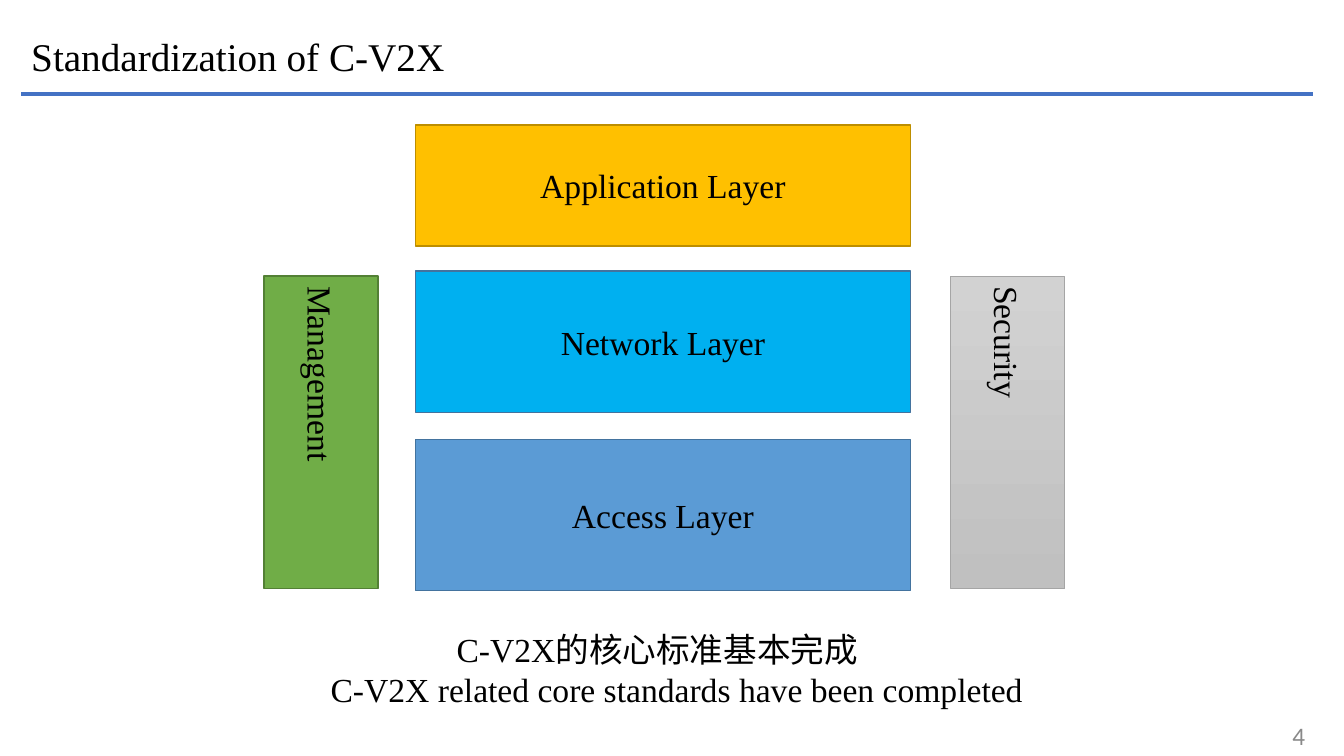
from pptx import Presentation
from pptx.dml.color import RGBColor
from pptx.enum.shapes import MSO_CONNECTOR, MSO_SHAPE
from pptx.enum.text import MSO_ANCHOR, MSO_AUTO_SIZE, PP_ALIGN
from pptx.oxml.ns import qn
from pptx.util import Inches, Pt
from lxml.etree import SubElement

SERIF = "Times New Roman"
LAYERS = [
    ("Application Layer", 1.24, 1.2, "FFC000", "BD8E00"),
    ("Network Layer", 2.69, 1.4, "00B0F0", "43739E"),
    ("Access Layer", 4.36, 1.5, "5B9BD5", "43739E"),
]


def paint(color, code):
    color.rgb = RGBColor.from_string(code)


def style(para, size, name=SERIF, code="000000", align=PP_ALIGN.LEFT):
    para.alignment = align
    para.font.size = Pt(size)
    para.font.name = name
    paint(para.font.color, code)


def add_rule(slide):
    """Draw the blue line under the title."""
    rule = slide.shapes.add_connector(
        MSO_CONNECTOR.STRAIGHT,
        Inches(0.21), Inches(0.93), Inches(13.02), Inches(0.93))
    rule.line.width = Pt(3)
    paint(rule.line.color, "4472C4")
    SubElement(rule._element.spPr, qn("a:effectLst"))


def set_title(slide, text):
    title = slide.shapes.title
    title.left, title.top = Inches(0.21), Inches(0.27)
    title.width, title.height = Inches(4.34), Inches(0.57)
    frame = title.text_frame
    frame.text = text
    frame.word_wrap = False
    frame.auto_size = MSO_AUTO_SIZE.NONE
    frame.vertical_anchor = MSO_ANCHOR.MIDDLE
    style(frame.paragraphs[0], 28)


def add_block(slide, text, box, fills, edge, width=1):
    """Add a labelled rectangle; two fills make a downward gradient."""
    block = slide.shapes.add_shape(MSO_SHAPE.RECTANGLE, *map(Inches, box))
    block.shadow.inherit = False
    if len(fills) == 1:
        block.fill.solid()
        paint(block.fill.fore_color, fills[0])
    else:
        block.fill.gradient()
        block.fill.gradient_angle = 270
        for stop, code in zip(block.fill.gradient_stops, fills):
            paint(stop.color, code)
    paint(block.line.color, edge)
    block.line.width = Pt(width)
    frame = block.text_frame
    frame.text = text
    frame.vertical_anchor = MSO_ANCHOR.MIDDLE
    style(frame.paragraphs[0], 24, align=PP_ALIGN.CENTER)
    return block


def add_pillar(slide, text, left, fills, edge, width=1):
    """Add a tall block whose label reads downwards."""
    block = add_block(slide, text, (left, 2.74, 1.13, 3.1), fills, edge, width)
    block.text_frame._txBody.bodyPr.set("vert", "eaVert")


def add_text(slide, lines, box, **font):
    frame = slide.shapes.add_textbox(*map(Inches, box)).text_frame
    frame.word_wrap = True
    frame.text = "\n".join(lines)
    for para in frame.paragraphs:
        style(para, **font)
    return frame


def main():
    deck = Presentation()
    deck.slide_width, deck.slide_height = Inches(13.33), Inches(7.5)
    slide = deck.slides.add_slide(deck.slide_layouts[5])

    add_rule(slide)
    set_title(slide, "Standardization of C-V2X")
    add_text(slide, ["4"], (12.72, 7.1, 0.63, 0.4),
             size=18, name="Calibri", code="898989")

    for text, top, height, fill, edge in LAYERS:
        add_block(slide, text, (4.12, top, 4.91, height), [fill], edge)
    add_pillar(slide, "Management", 2.62, ["70AD47"], "538035")
    add_pillar(slide, "Security", 9.43, ["D2D2D2", "C0C0C0"], "A5A5A5", 0.5)

    lines = ["C-V2X的核心标准基本完成",
             "C-V2X related core standards have been completed"]
    notice = add_text(slide, lines, (3.18, 6.19, 7.43, 0.91), size=24)
    first = notice.paragraphs[0]._p.get_or_add_pPr()
    first.set("marL", str(Inches(1.25)))
    first.set("indent", "0")

    deck.save("out.pptx")


if __name__ == "__main__":
    main()
